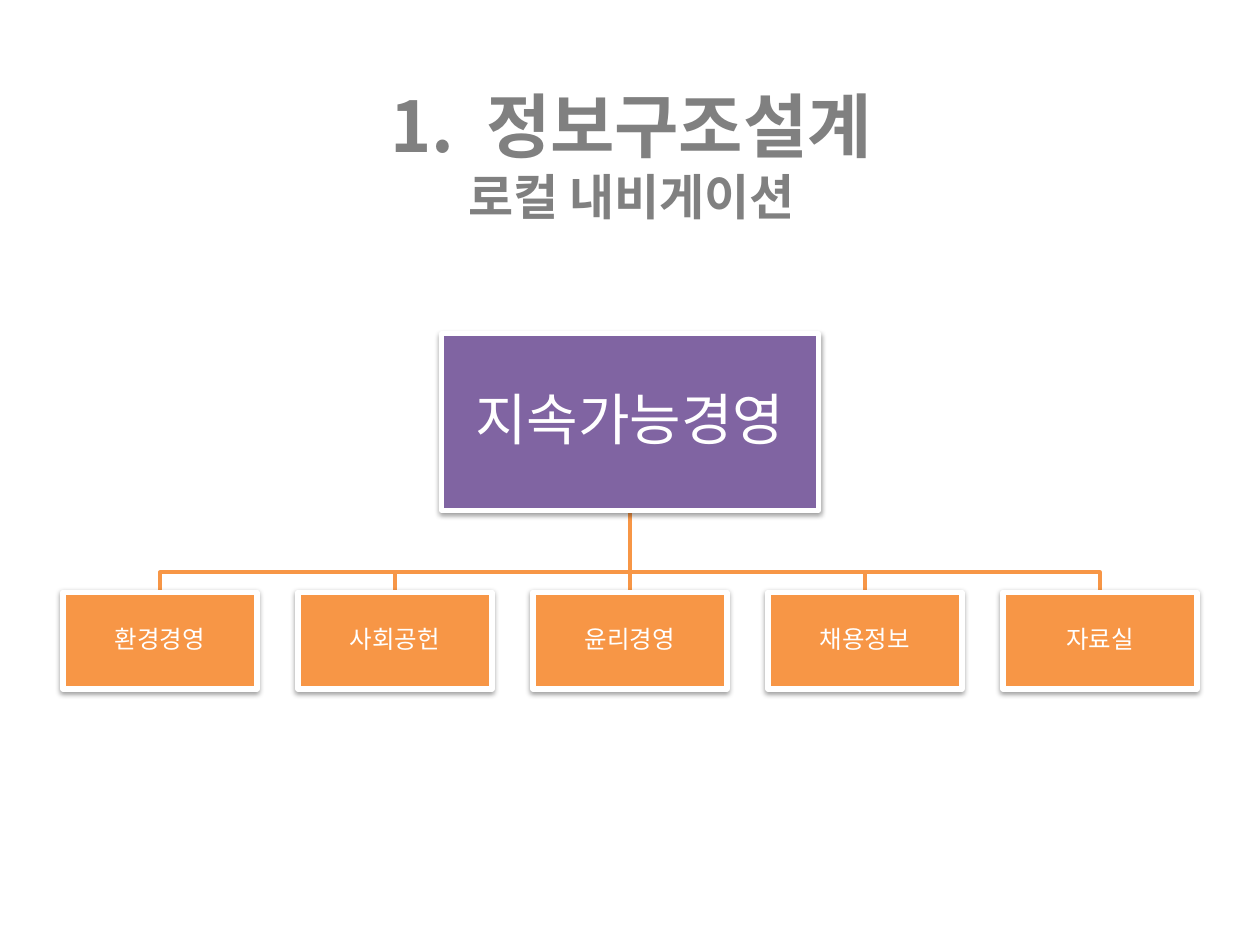
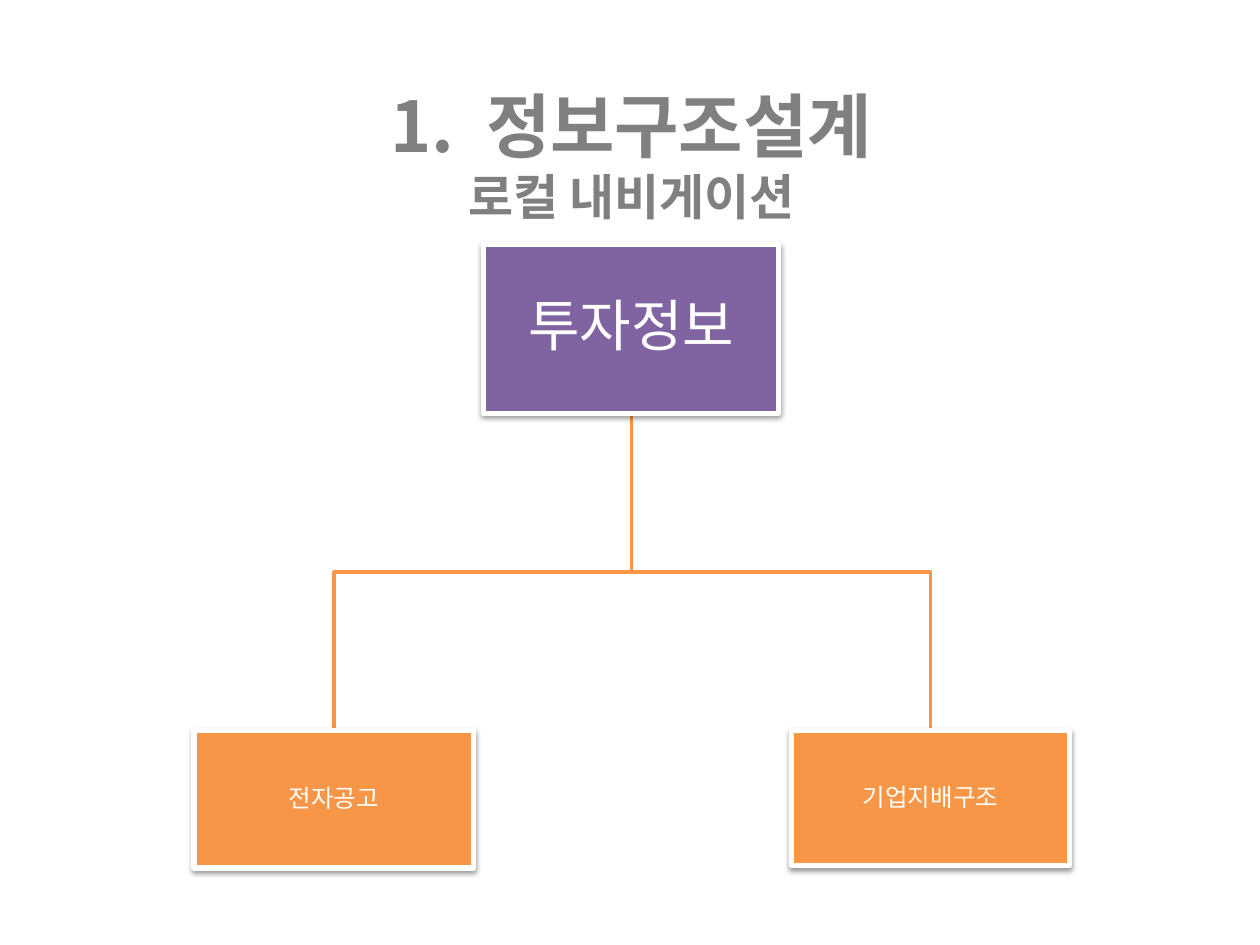
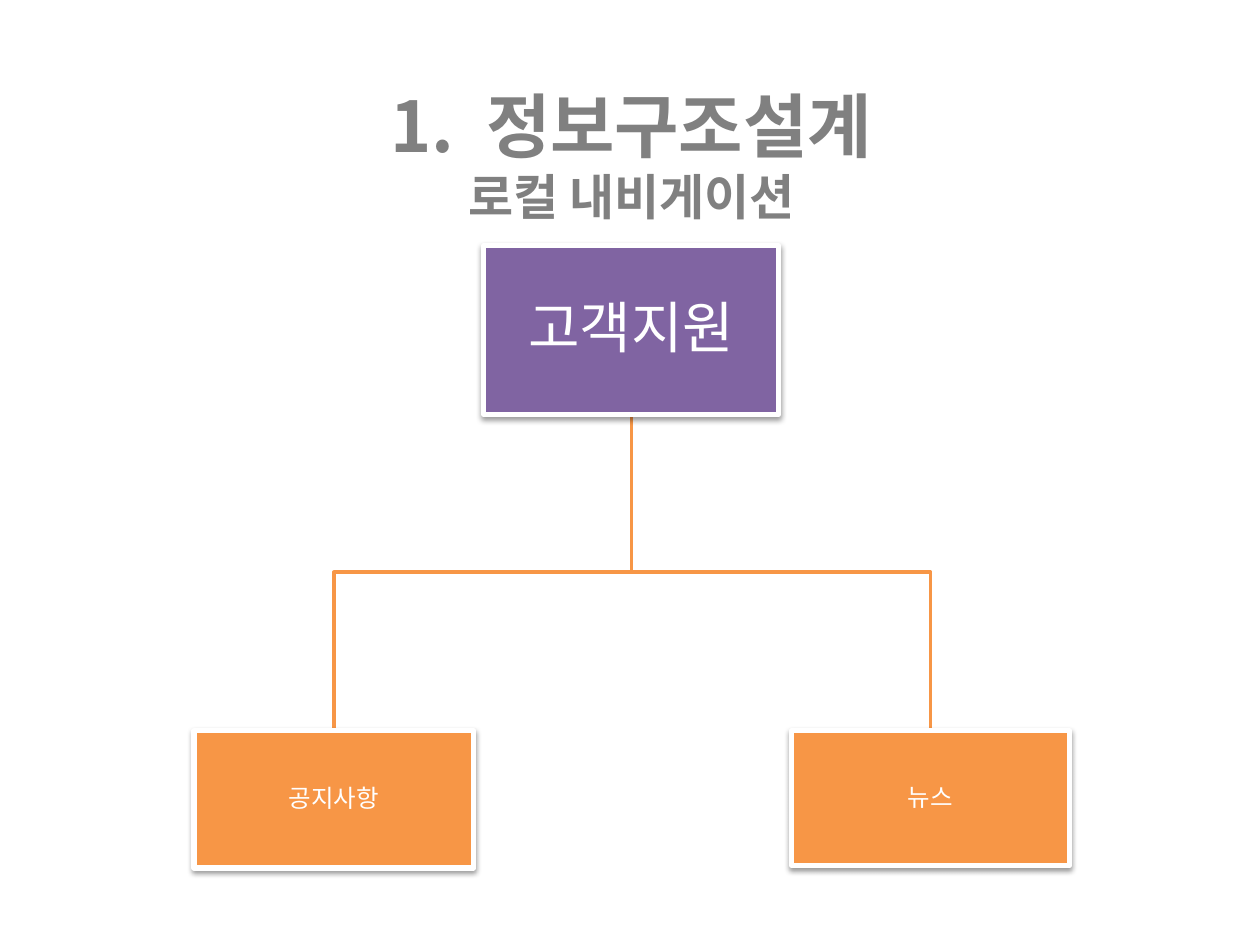
"""Builds three local-navigation slides, each a title above a tree of boxes."""

from dataclasses import dataclass

from lxml import etree
from pptx import Presentation
from pptx.dml.color import RGBColor
from pptx.enum.shapes import MSO_CONNECTOR, MSO_SHAPE
from pptx.enum.text import MSO_ANCHOR, MSO_AUTO_SIZE, PP_ALIGN
from pptx.oxml.ns import qn
from pptx.presentation import Presentation as Deck
from pptx.shapes.autoshape import Shape
from pptx.slide import Slide
from pptx.text.text import _Paragraph
from pptx.util import Pt

RECTANGLE = MSO_SHAPE.RECTANGLE
STRAIGHT = MSO_CONNECTOR.STRAIGHT
MIDDLE = MSO_ANCHOR.MIDDLE
CENTER = PP_ALIGN.CENTER
NO_AUTOFIT = MSO_AUTO_SIZE.NONE

WHITE = RGBColor(0xFF, 0xFF, 0xFF)
BLACK = RGBColor(0x00, 0x00, 0x00)
GREY = RGBColor(0x80, 0x80, 0x80)
PURPLE = RGBColor(0x80, 0x64, 0xA2)
ORANGE = RGBColor(0xF7, 0x96, 0x46)

FONT = "Noto Sans CJK KR"
SECTION_SIZE = 40
SUBTITLE_SIZE = 28
NUMBER_GAP = 9
BRANCH_Y = 327
TITLE_ONLY = 5


@dataclass(frozen=True)
class Box:
    """A labelled box of the tree, measured in points."""

    label: str
    left: float
    top: float
    width: float
    height: float

    @property
    def center(self) -> float:
        return self.left + self.width / 2

    @property
    def bottom(self) -> float:
        return self.top + self.height


@dataclass(frozen=True)
class Tree:
    """A menu and its pages."""

    menu: Box
    pages: list[Box]


def pair_tree(menu: str, left_page: str, right_page: str, menu_top: float) -> Tree:
    """Lay out a menu with two pages."""
    return Tree(
        Box(menu, 276.5, menu_top, 168.5, 96.5),
        [Box(left_page, 110.9, 417.6, 159.8, 78.5),
         Box(right_page, 452.2, 417.6, 159.1, 77)],
    )


SUSTAINABILITY_PAGES = ["환경경영", "사회공헌", "윤리경영", "채용정보", "자료실"]
TREES = [
    Tree(
        Box("지속가능경영", 252.3, 190.8, 215.4, 100.8),
        [Box(label, 36 + 134.28 * column, 338.4, 110.9, 55.4)
         for column, label in enumerate(SUSTAINABILITY_PAGES)],
    ),
    pair_tree("투자정보", "전자공고", "기업지배구조", 139.7),
    pair_tree("고객지원", "공지사항", "뉴스", 140.4),
]


def add_text(paragraph: _Paragraph, text: str, *, size: float, color: RGBColor,
             bold: bool = False, spacing: float = 0) -> None:
    """Append a formatted run to a paragraph."""
    run = paragraph.add_run()
    run.text = text
    run.font.size = Pt(size)
    run.font.bold = bold
    run.font.name = FONT
    run.font.color.rgb = color
    properties = run._r.get_or_add_rPr()
    etree.SubElement(properties, qn("a:ea"), typeface=FONT)
    if spacing:
        properties.set("spc", str(round(spacing * 100)))


def add_title(slide: Slide) -> None:
    """Place and fill the shared two-line title."""
    title = slide.shapes.title
    title.left, title.top, title.width, title.height = map(Pt, (36.7, 43.2, 648, 90))
    frame = title.text_frame
    frame.auto_size = NO_AUTOFIT
    frame.vertical_anchor = MIDDLE
    paragraph = frame.paragraphs[0]
    paragraph.alignment = CENTER
    section = {"size": SECTION_SIZE, "color": GREY, "bold": True}
    add_text(paragraph, "1.", **section)
    add_text(paragraph, " ", spacing=NUMBER_GAP, **section)
    add_text(paragraph, "정보구조설계", **section)
    line_break = etree.SubElement(paragraph._p, qn("a:br"))
    etree.SubElement(line_break, qn("a:rPr"), sz=str(SECTION_SIZE * 100))
    add_text(paragraph, "로컬 내비게이션", size=SUBTITLE_SIZE, color=GREY, bold=True)


def add_shadow(shape: Shape) -> None:
    """Give a shape a soft shadow straight below it."""
    shape.shadow.inherit = False
    effects = shape._element.spPr.find(qn("a:effectLst"))
    shadow = etree.SubElement(
        effects, qn("a:outerShdw"), blurRad=str(Pt(3.1)), dist=str(Pt(1.6)),
        dir="5400000", rotWithShape="0")
    color = etree.SubElement(shadow, qn("a:srgbClr"), val=str(BLACK))
    etree.SubElement(color, qn("a:alpha"), val="38000")


def add_box(slide: Slide, box: Box, fill: RGBColor, size: float, inset: float) -> None:
    """Draw a box with its label."""
    shape = slide.shapes.add_shape(
        RECTANGLE, Pt(box.left), Pt(box.top), Pt(box.width), Pt(box.height))
    add_shadow(shape)
    shape.fill.solid()
    shape.fill.fore_color.rgb = fill
    shape.line.color.rgb = WHITE
    shape.line.width = Pt(3)
    frame = shape.text_frame
    frame.word_wrap = True
    frame.vertical_anchor = MIDDLE
    frame.margin_left = frame.margin_right = Pt(inset)
    frame.margin_top = frame.margin_bottom = Pt(inset)
    paragraph = frame.paragraphs[0]
    paragraph.alignment = CENTER
    paragraph.line_spacing = 0.9
    add_text(paragraph, box.label, size=size, color=WHITE)


def add_branch(slide: Slide, menu: Box, page: Box) -> None:
    """Link a menu to one page by a straight or stepped line."""
    start, end = (Pt(menu.center), Pt(menu.bottom)), (Pt(page.center), Pt(page.top))
    if abs(menu.center - page.center) < 1:
        branch = slide.shapes.add_connector(STRAIGHT, *start, start[0], end[1])
        etree.SubElement(branch._element.spPr, qn("a:effectLst"))
    else:
        outline = slide.shapes.build_freeform(*start)
        outline.add_line_segments(
            [(start[0], Pt(BRANCH_Y)), (end[0], Pt(BRANCH_Y)), end], close=False)
        branch = outline.convert_to_shape()
        branch.shadow.inherit = False
        branch.fill.background()
    branch.line.color.rgb = ORANGE
    branch.line.width = Pt(2)


def add_tree_slide(deck: Deck, tree: Tree) -> None:
    """Add a slide with the title and one tree."""
    slide = deck.slides.add_slide(deck.slide_layouts[TITLE_ONLY])
    add_title(slide)
    for page in reversed(tree.pages):
        add_branch(slide, tree.menu, page)
    add_box(slide, tree.menu, PURPLE, size=32, inset=1.6)
    for page in tree.pages:
        add_box(slide, page, ORANGE, size=14, inset=0.7)


def main() -> None:
    """Build and save the deck."""
    deck = Presentation()
    deck.slide_width, deck.slide_height = Pt(720), Pt(540)
    for tree in TREES:
        add_tree_slide(deck, tree)
    deck.save("out.pptx")


if __name__ == "__main__":
    main()
